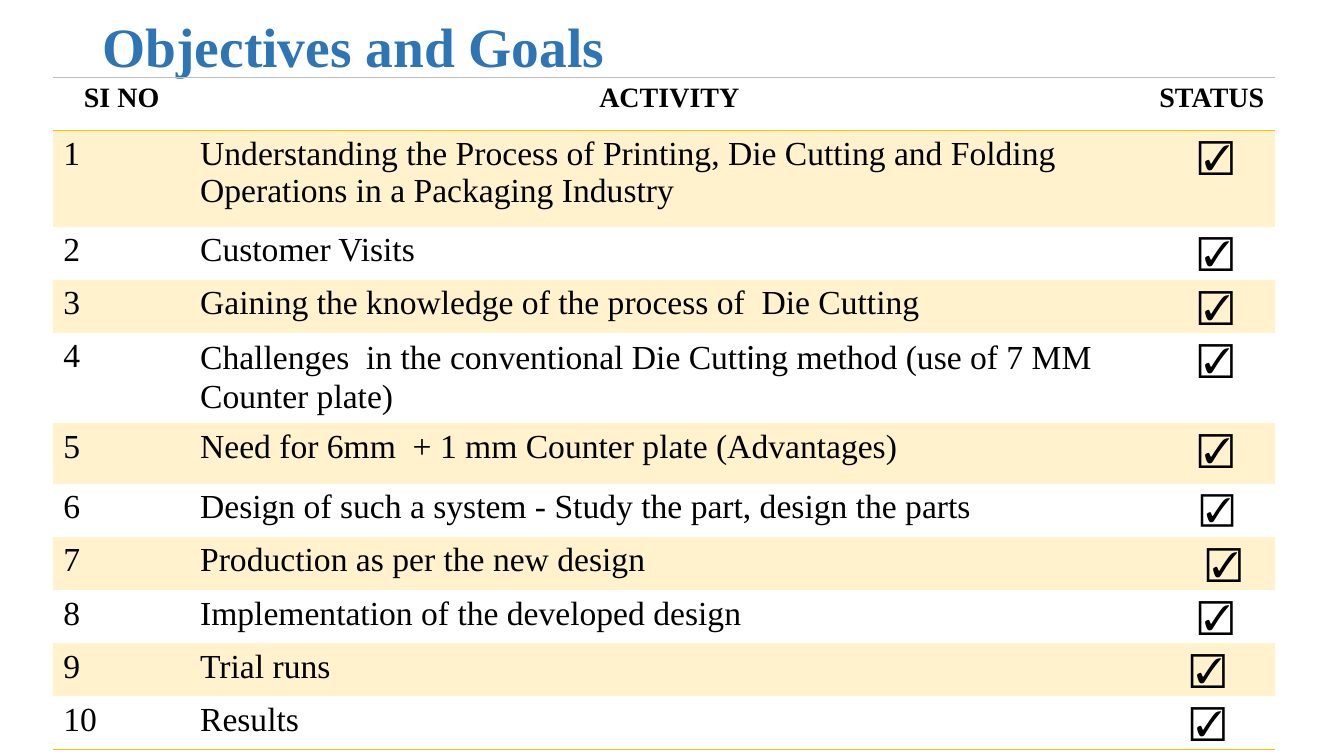
from lxml.etree import SubElement
from pptx import Presentation
from pptx.dml.color import RGBColor
from pptx.enum.text import MSO_ANCHOR, MSO_AUTO_SIZE, PP_ALIGN
from pptx.oxml.ns import qn
from pptx.util import Cm, Pt

SERIF, SANS = "Times New Roman", "Calibri"
BLUE, BLACK, GOLD, CREAM, GREY = "2E75B6", "000000", "FFC000", "FFF2CC", "BFBFBF"
PLAIN_TABLE_STYLE = "{2D5ABB26-0587-4C30-8999-92F81FD0307C}"

HEADINGS = ["SI NO", "ACTIVITY", "STATUS"]
COLUMN_WIDTHS = [3.45, 24.16, 3.18]
HEADER_HEIGHT = ROW_HEIGHT = 1.34
CELL_MARGIN = 0.25

# Activity text runs with their fonts, row height, tick indent, tick size
ACTIVITIES = [
    ([("Understanding the Process of Printing, Die Cutting and Folding "
       "Operations in a Packaging Industry", SERIF)], 2.42, 1, 25),
    ([("Customer Visits", SERIF)], ROW_HEIGHT, 1, 25),
    ([("Gaining the knowledge of the process of  Die Cutting", SERIF)], ROW_HEIGHT, 1, 25),
    ([("Challenges  in the conventional Die Cutt", SERIF), ("i", SANS),
      ("ng method (use of 7 MM Counter plate)", SERIF)], 2.28, 1, 25),
    ([("Need for 6mm  + 1 mm Counter plate (Advantages)", SERIF)], 1.52, 1, 25),
    ([("Design of such a system - Study the part, design the parts", SERIF)],
     ROW_HEIGHT, 1.05, 24),
    ([("Production as per the new design", SERIF)], ROW_HEIGHT, 1.2, 25),
    ([("Implementation of the developed design", SERIF)], ROW_HEIGHT, 1, 25),
    ([("Trial runs", SERIF)], ROW_HEIGHT, 0.8, 25),
    ([("Results", SERIF)], ROW_HEIGHT, 0.8, 25),
]


def color(hex_value):
    return RGBColor.from_string(hex_value)


def format_font(font, size, hex_value=BLACK, bold=False):
    font.size, font.bold = Pt(size), bold
    font.color.rgb = color(hex_value)


def write_cell(cell, runs, size, bold=False, alignment=PP_ALIGN.LEFT):
    paragraph = cell.text_frame.paragraphs[0]
    paragraph.alignment = alignment
    format_font(paragraph.font, size, bold=bold)
    for text, font_name in runs:
        run = paragraph.add_run()
        run.text = text
        run.font.name = font_name


def add_border(cell, side, hex_value, width):
    """Draw one cell edge; side is 'T' or 'B'. Call before filling the cell."""
    properties = cell._tc.get_or_add_tcPr()
    line = SubElement(properties, qn(f"a:ln{side}"), w=str(Pt(width)))
    fill = SubElement(line, qn("a:solidFill"))
    SubElement(fill, qn("a:srgbClr"), val=hex_value)


def add_title(slide, left, top, width, height):
    title = slide.shapes.title
    title.left, title.top, title.width, title.height = left, top, width, height
    frame = title.text_frame
    frame.text = "Objectives and Goals"
    frame.auto_size = MSO_AUTO_SIZE.NONE
    frame.vertical_anchor = MSO_ANCHOR.MIDDLE
    paragraph = frame.paragraphs[0]
    paragraph.alignment = PP_ALIGN.LEFT
    paragraph.line_spacing = 0.9
    paragraph.font.name = SERIF
    format_font(paragraph.font, 39.6, BLUE, bold=True)


def fill_header(table):
    table.rows[0].height = Cm(HEADER_HEIGHT)
    for cell, heading in zip(table.rows[0].cells, HEADINGS):
        write_cell(cell, [(heading, SERIF)], 20, True, PP_ALIGN.CENTER)
        add_border(cell, "T", GREY, 0.75)
        add_border(cell, "B", GOLD, 1)


def fill_activity(table, number, runs, height, tick_indent, tick_size):
    row = table.rows[number]
    row.height = Cm(height)
    number_cell, activity_cell, status_cell = row.cells
    write_cell(number_cell, [(str(number), SERIF)], 24)
    write_cell(activity_cell, runs, 24)
    write_cell(status_cell, [("☑", SANS)], tick_size)
    status_cell.margin_left = Cm(CELL_MARGIN + tick_indent)
    for cell in row.cells:
        if number == len(ACTIVITIES):
            add_border(cell, "B", GOLD, 1)
        if number % 2:
            cell.fill.solid()
            cell.fill.fore_color.rgb = color(CREAM)


def add_activity_table(slide, left, top):
    height = HEADER_HEIGHT + sum(activity[1] for activity in ACTIVITIES)
    table = slide.shapes.add_table(
        len(ACTIVITIES) + 1, len(HEADINGS), left, top,
        Cm(sum(COLUMN_WIDTHS)), Cm(height)).table
    table._tbl.tblPr.find(qn("a:tableStyleId")).text = PLAIN_TABLE_STYLE
    table.horz_banding = False
    for column, width in zip(table.columns, COLUMN_WIDTHS):
        column.width = Cm(width)
    fill_header(table)
    for number, activity in enumerate(ACTIVITIES, start=1):
        fill_activity(table, number, *activity)


def main():
    presentation = Presentation()
    presentation.slide_width, presentation.slide_height = Cm(33.87), Cm(19.05)
    slide = presentation.slides.add_slide(presentation.slide_layouts[5])
    add_title(slide, Cm(2.33), Cm(0.17), Cm(29.21), Cm(2.15))
    add_activity_table(slide, Cm(1.34), Cm(1.95))
    presentation.save("out.pptx")


if __name__ == "__main__":
    main()
